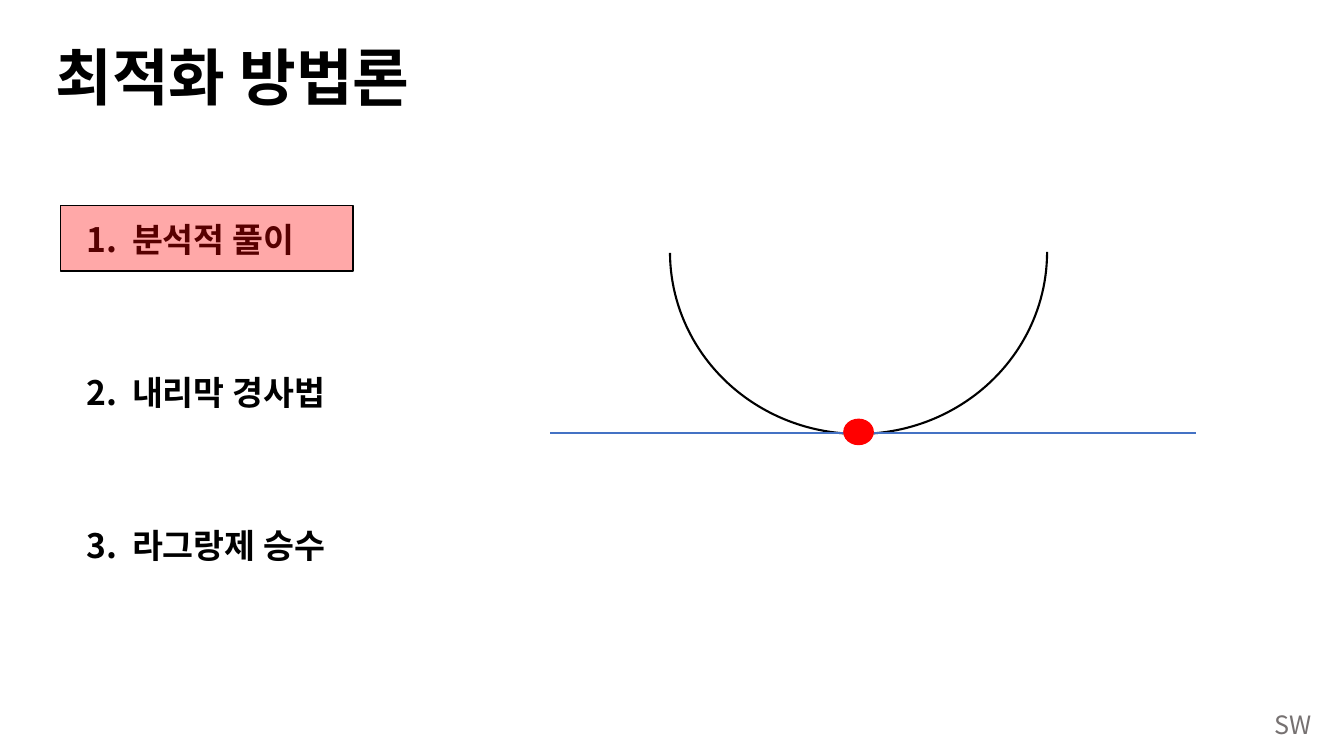
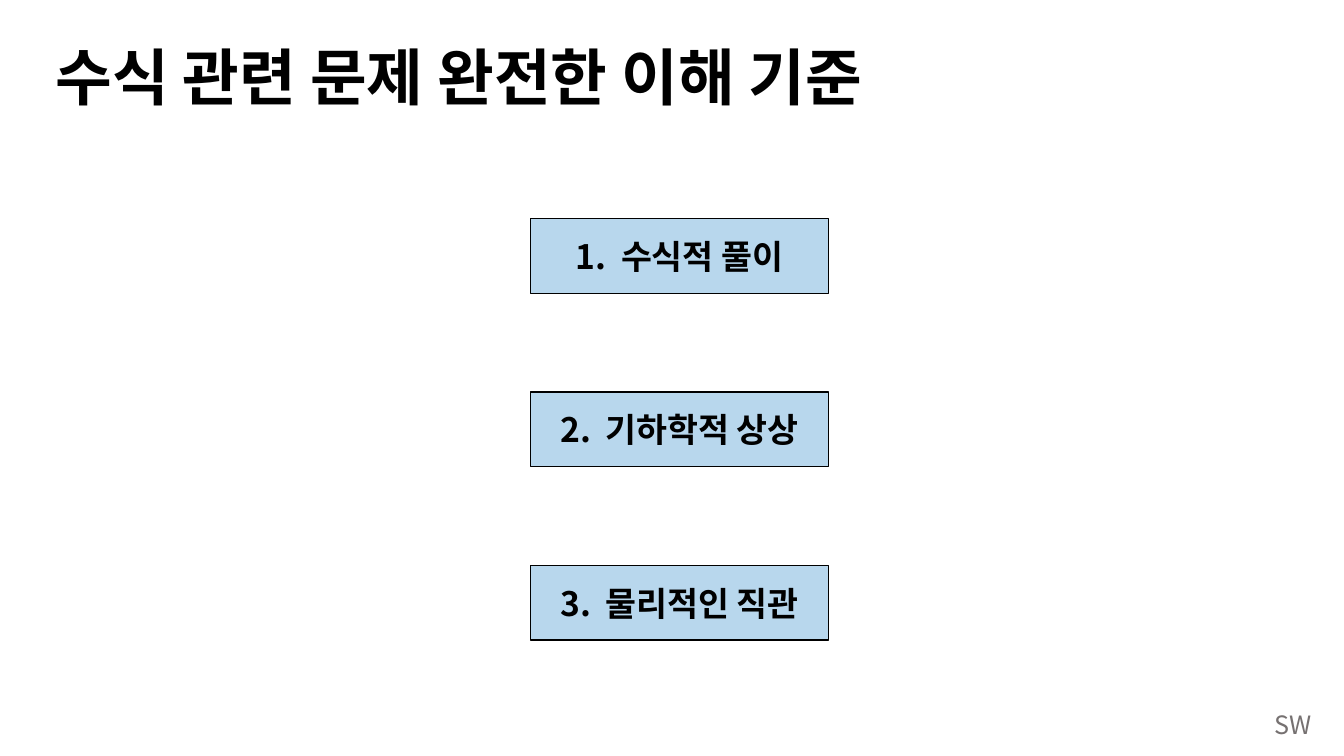
import pptx
import pptx.util
import pptx.dml.color
import pptx.enum.shapes
import pptx.enum.text
import pptx.oxml.ns
import lxml.etree

SCALE = 9144  # EMU in one px, 100 px to the inch
SANS = "Noto Sans CJK KR"
SERIF = "Times New Roman"
BLACK, RED, BLUE, LINE, GREY = "000000", "FF0000", "0070C0", "4472C4", "767171"
KIND = pptx.enum.shapes.MSO_SHAPE
ALIGN = pptx.enum.text.PP_ALIGN
MIDDLE = pptx.enum.text.MSO_ANCHOR.MIDDLE
TOP = pptx.enum.text.MSO_ANCHOR.TOP
FIXED = pptx.enum.text.MSO_AUTO_SIZE.NONE


def px(*sizes):
    return [pptx.util.Emu(size * SCALE) for size in sizes]


def color(text):
    return pptx.dml.color.RGBColor.from_string(text)


def child(parent, tag, **attrs):
    return lxml.etree.SubElement(parent, pptx.oxml.ns.qn(tag), attrs)


def place(shape, *box):
    shape.left, shape.top, shape.width, shape.height = px(*box)


# Text
def add_run(para, text, size, face=SANS, ink=BLACK, bold=True):
    run = para.add_run()
    run.text = text
    font = run.font
    font.size, font.name, font.bold = pptx.util.Pt(size), face, bold
    font.color.rgb = color(ink)
    child(run.font._element, "a:ea", typeface=SANS)
    return run


def add_item(para, number, text):
    """Write a number, a wide gap and the item."""
    add_run(para, f"{number}.", 24)
    gap = add_run(para, " ", 24)
    gap.font._element.set("spc", "500")
    add_run(para, text, 24)


def add_list(body, items, gap):
    frame = body.text_frame
    frame.word_wrap, frame.auto_size = True, FIXED
    frame.vertical_anchor = TOP
    for number, text in enumerate(items, 1):
        para = frame.paragraphs[0] if number == 1 else frame.add_paragraph()
        para.line_spacing = 1.0
        para.space_before = pptx.util.Pt(gap if number > 1 else 0)
        props = para._p.get_or_add_pPr()
        props.set("marL", "0")
        props.set("indent", "0")
        child(props, "a:buNone")
        add_item(para, number, text)


# Shapes
def add_shape(slide, kind, box, fill=None, alpha=100, ink=BLACK, width=1):
    shape = slide.shapes.add_shape(kind, *px(*box))
    shape.shadow.inherit = False
    shape.line.color.rgb = color(ink)
    shape.line.width = pptx.util.Pt(width)
    if fill is None:
        shape.fill.background()
        return shape
    shape.fill.solid()
    shape.fill.fore_color.rgb = color(fill)
    if alpha < 100:
        tint = shape._element.spPr.find(".//" + pptx.oxml.ns.qn("a:srgbClr"))
        child(tint, "a:alpha", val=str(alpha * 1000))
    return shape


def add_line(slide, *ends):
    kind = pptx.enum.shapes.MSO_CONNECTOR.STRAIGHT
    line = slide.shapes.add_connector(kind, *px(*ends))
    line.line.color.rgb = color(LINE)
    line.line.width = pptx.util.Pt(1.5)
    child(line._element.spPr, "a:effectLst")


# Shared parts
def set_master(deck, slide):
    """Place the title and put the corner mark on the master."""
    master = deck.slide_master
    for holder in master.placeholders:
        if holder.placeholder_format.type == pptx.enum.shapes.PP_PLACEHOLDER.TITLE:
            place(holder, 45, 7, 1150, 145)
    mark = slide.shapes.add_textbox(*px(1254, 699, 58, 40))
    mark.text_frame.word_wrap = False
    add_run(mark.text_frame.paragraphs[0], "SW", 18, ink=GREY, bold=False)
    master.shapes.element.append(mark.element)


def add_slide(deck, layout, title):
    slide = deck.slides.add_slide(deck.slide_layouts.get_by_name(layout))
    frame = slide.shapes.title.text_frame
    frame.vertical_anchor, frame.auto_size = MIDDLE, FIXED
    frame.word_wrap = True
    para = frame.paragraphs[0]
    para.alignment, para.line_spacing = ALIGN.LEFT, 0.9
    add_run(para, title, 44, SERIF)
    return slide


# Slides
def add_methods(deck):
    slide = add_slide(deck, "Title and Content", "최적화 방법론")
    body = slide.placeholders[1]
    place(body, 76, 212, 274, 374)
    add_list(body, ["분석적 풀이", "내리막 경사법", "라그랑제 승수"], 80.5)

    # Curve, tangent and lowest point
    curve = add_shape(slide, KIND.ARC, (671, 63, 361, 374), width=1.5)
    curve.rotation = 90
    curve.adjustments[0], curve.adjustments[1] = 162, 53.85
    add_line(slide, 546, 430, 1186, 430)
    add_shape(slide, KIND.RECTANGLE, (60, 204, 290, 65), RED, 34)
    add_shape(slide, KIND.OVAL, (837, 416, 29, 25), RED, ink=RED)
    return slide


def add_goals(deck):
    slide = add_slide(deck, "Title Only", "수식 관련 문제 완전한 이해 기준")
    for row, text in enumerate(["수식적 풀이", "기하학적 상상", "물리적인 직관"]):
        box = (526, 217 + 172 * row, 296, 74)
        shape = add_shape(slide, KIND.RECTANGLE, box, BLUE, 28)
        shape.text_frame.vertical_anchor = MIDDLE
        para = shape.text_frame.paragraphs[0]
        para.alignment = ALIGN.CENTER
        add_item(para, row + 1, text)


def main():
    deck = pptx.Presentation()
    deck.slide_width, deck.slide_height = px(1333, 750)
    first = add_methods(deck)
    set_master(deck, first)
    add_goals(deck)
    deck.save("out.pptx")


if __name__ == "__main__":
    main()
